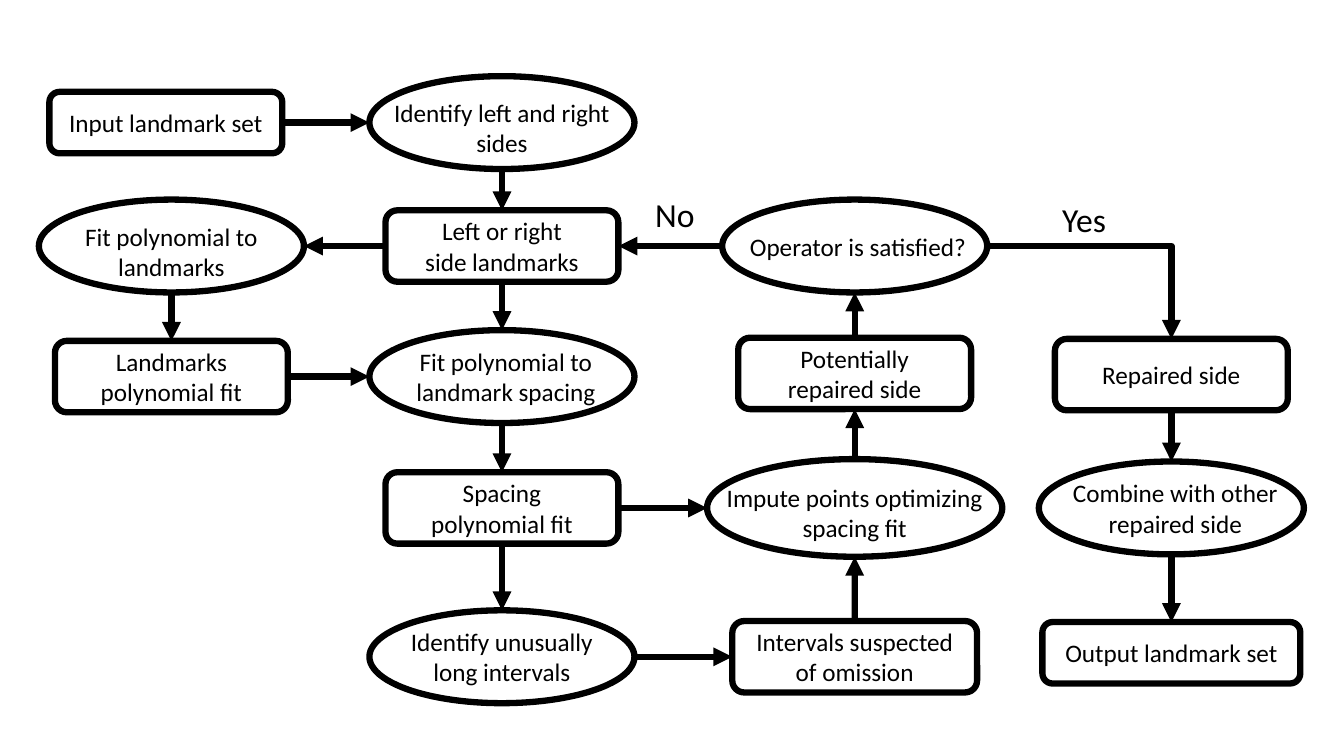
from dataclasses import dataclass

from lxml import etree
from pptx import Presentation
from pptx.dml.color import RGBColor
from pptx.enum.shapes import MSO_CONNECTOR, MSO_SHAPE
from pptx.enum.text import MSO_ANCHOR, PP_ALIGN
from pptx.oxml.ns import qn
from pptx.shapes.autoshape import Shape
from pptx.slide import Slide
from pptx.util import Cm, Pt

BOX, OVAL = MSO_SHAPE.ROUNDED_RECTANGLE, MSO_SHAPE.OVAL
LINE, BENT = MSO_CONNECTOR.STRAIGHT, MSO_CONNECTOR.ELBOW
MIDDLE, CENTER = MSO_ANCHOR.MIDDLE, PP_ALIGN.CENTER
TOP, LEFT, BOTTOM, RIGHT = range(4)


@dataclass(frozen=True)
class Theme:
    """Colours, type and line weight of the chart."""
    ink: RGBColor = RGBColor(0, 0, 0)
    font: str = "Calibri"
    body: Pt = Pt(18)
    branch: Pt = Pt(24)
    stroke: Pt = Pt(4.5)


@dataclass(frozen=True)
class Node:
    """A data box or process oval: centre, size and text shift in cm."""
    text: str
    x: float
    y: float
    kind: int = BOX
    wide: float = 5.87
    high: float = 1.8
    right: float = 0
    down: float = 0


@dataclass(frozen=True)
class Link:
    """An arrow between the sides of two nodes."""
    tail: str
    start: int
    head: str
    end: int


@dataclass(frozen=True)
class Label:
    """A branch answer: left, top and width in cm."""
    text: str
    x: float
    y: float
    wide: float


def oval(text: str, x: float, y: float, wide: float = 6.68,
         high: float = 2.34, right: float = 0, down: float = 0) -> Node:
    """Describe a process step."""
    return Node(text, x, y, OVAL, wide, high, right, down)


THEME = Theme()
COL1, COL2, COL3, COL4 = 4.32, 12.65, 21.54, 29.52
ROW1, ROW2, ROW3, ROW4, ROW5 = 3.09, 6.2, 9.49, 12.8, 16.55

NODES = {
    "input": Node("Input landmark set", 4.18, ROW1, high=1.55),
    "sides": oval("Identify left and right\vsides", COL2, ROW1, down=0.12),
    "side": Node("Left or right\vside landmarks", COL2, ROW2),
    "fit": oval("Fit polynomial to\vlandmarks", COL1, ROW2, down=0.13),
    "curve": Node("Landmarks\vpolynomial fit", COL1, ROW3),
    "space": oval("Fit polynomial to\vlandmark spacing", COL2, ROW3,
                  right=0.1),
    "gaps": Node("Spacing\vpolynomial fit", COL2, ROW4),
    "long": oval("Identify unusually\vlong intervals", COL2, ROW5),
    "omit": Node("Intervals suspected\vof omission", COL3, ROW5, wide=6.17),
    "impute": oval("Impute points optimizing\vspacing fit", COL3, ROW4,
                   wide=7.44, high=2.46, down=0.12),
    "draft": Node("Potentially\vrepaired side", COL3, 9.41),
    "check": oval("Operator is satisfied?", COL3, ROW2, right=0.08),
    "fixed": Node("Repaired side", COL4, 9.44),
    "merge": oval("Combine with other\vrepaired side", COL4, ROW4,
                  right=0.1),
    "output": Node("Output landmark set", COL4, 16.45, wide=6.5, high=1.55),
}

LINKS = [
    Link("input", RIGHT, "sides", LEFT),
    Link("sides", BOTTOM, "side", TOP),
    Link("side", LEFT, "fit", RIGHT),
    Link("fit", BOTTOM, "curve", TOP),
    Link("side", BOTTOM, "space", TOP),
    Link("curve", RIGHT, "space", LEFT),
    Link("space", BOTTOM, "gaps", TOP),
    Link("gaps", BOTTOM, "long", TOP),
    Link("gaps", RIGHT, "impute", LEFT),
    Link("long", RIGHT, "omit", LEFT),
    Link("omit", TOP, "impute", BOTTOM),
    Link("impute", TOP, "draft", BOTTOM),
    Link("draft", TOP, "check", BOTTOM),
    Link("check", LEFT, "side", RIGHT),
    Link("check", RIGHT, "fixed", TOP),
    Link("fixed", BOTTOM, "merge", TOP),
    Link("merge", BOTTOM, "output", TOP),
]

LABELS = [Label("No", 16.26, 4.75, 1.55), Label("Yes", 26.52, 4.9, 1.88)]


def write(shape: Shape, text: str, size: Pt) -> None:
    """Set the text of a shape in the theme font."""
    shape.text_frame.text = text
    font = shape.text_frame.paragraphs[0].font
    font.name, font.size = THEME.font, size
    font.color.rgb = THEME.ink


def draw_node(slide: Slide, node: Node) -> Shape:
    """Draw an outlined node with centred text."""
    shape = slide.shapes.add_shape(
        node.kind, Cm(node.x - node.wide / 2), Cm(node.y - node.high / 2),
        Cm(node.wide), Cm(node.high))
    shape.shadow.inherit = False
    shape.fill.background()
    shape.line.color.rgb = THEME.ink
    shape.line.width = THEME.stroke
    write(shape, node.text, THEME.body)
    frame = shape.text_frame
    frame.word_wrap = False
    frame.vertical_anchor = MIDDLE
    frame.paragraphs[0].alignment = CENTER
    frame.margin_left, frame.margin_top = Cm(2 * node.right), Cm(2 * node.down)
    frame.margin_right = frame.margin_bottom = 0
    return shape


def draw_link(slide: Slide, link: Link, shapes: dict[str, Shape]) -> None:
    """Draw an arrow glued to two nodes, bent where it turns a corner."""
    bent = link.start % 2 != link.end % 2
    wire = slide.shapes.add_connector(BENT if bent else LINE, 0, 0, 0, 0)
    wire.begin_connect(shapes[link.tail], link.start)
    wire.end_connect(shapes[link.head], link.end)
    wire.line.color.rgb = THEME.ink
    wire.line.width = THEME.stroke
    root = wire.element
    # An ellipse has eight connection sites, so its sides are every second one.
    for tag, name, side in (("a:stCxn", link.tail, link.start),
                            ("a:endCxn", link.head, link.end)):
        if NODES[name].kind == OVAL:
            root.find(".//" + qn(tag)).set("idx", str(2 * side))
    if bent:
        root.find(".//" + qn("a:prstGeom")).set("prst", "bentConnector2")
    etree.SubElement(root.find(".//" + qn("a:ln")), qn("a:tailEnd"),
                     type="triangle")
    etree.SubElement(root.spPr, qn("a:effectLst"))


def draw_label(slide: Slide, label: Label) -> None:
    """Write the answer beside a branch."""
    box = slide.shapes.add_textbox(Cm(label.x), Cm(label.y),
                                   Cm(label.wide), Cm(1.27))
    box.text_frame.word_wrap = True
    write(box, label.text, THEME.branch)


def main() -> None:
    """Build and save the flow chart."""
    deck = Presentation()
    deck.slide_width, deck.slide_height = Cm(33.87), Cm(19.05)
    slide = deck.slides.add_slide(deck.slide_layouts[6])
    shapes = {name: draw_node(slide, node) for name, node in NODES.items()}
    for link in LINKS:
        draw_link(slide, link, shapes)
    for label in LABELS:
        draw_label(slide, label)
    deck.save("out.pptx")


main()
